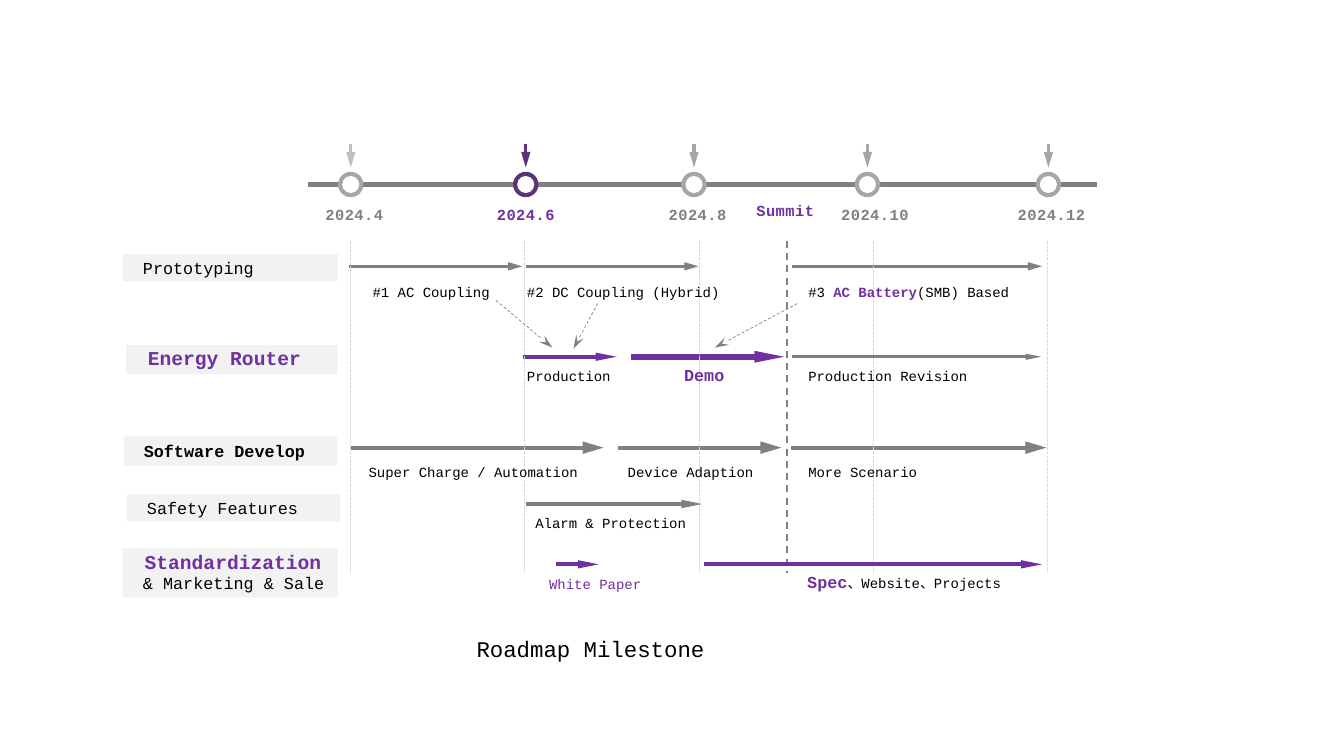
from pptx import Presentation
from pptx.dml.color import RGBColor
from pptx.enum.dml import MSO_LINE_DASH_STYLE as Dash
from pptx.enum.shapes import MSO_CONNECTOR, MSO_SHAPE as Shape
from pptx.enum.text import MSO_ANCHOR as Anchor, PP_ALIGN as Align
from pptx.oxml.xmlchemy import OxmlElement
from pptx.util import Cm, Pt

# Content: a span is (text, size, colour, bold); positions are in cm
FONT = "Courier New"
BLACK, WHITE, PURPLE, DEEP = "000000", "FFFFFF", "7030A0", "5B337B"
GRAY, SILVER, PALE, FAINT, PANEL = "808080", "A6A6A6", "BFBFBF", "D9D9D9", "F2F2F2"

# date, circle centre, label centre, ring colour, arrow colour, label colour
MILESTONES = [
    ("2024.4", 8.84, 8.93, SILVER, PALE, GRAY),
    ("2024.6", 13.25, 13.25, DEEP, DEEP, PURPLE),
    ("2024.8", 17.49, 17.58, SILVER, SILVER, GRAY),
    ("2024.10", 21.86, 22.05, SILVER, SILVER, GRAY),
    ("2024.12", 26.42, 26.50, SILVER, SILVER, GRAY),
]

# box (left, top, width, height), lines of spans
TRACKS = [
    ((3.10, 6.40, 5.41, 0.69), [[(" Prototyping", 12, BLACK, False)]]),
    ((3.18, 8.69, 5.33, 0.74), [[(" Energy Router", 14, PURPLE, True)]]),
    ((3.12, 11.00, 5.38, 0.74), [[(" Software Develop", 12, BLACK, True)]]),
    ((3.20, 12.45, 5.38, 0.69), [[(" Safety Features", 12, BLACK, False)]]),
    ((3.10, 13.82, 5.41, 1.24), [[(" Standardization", 14, PURPLE, True)],
                                 [(" & Marketing & Sale", 12, BLACK, False)]]),
]

# start, end, height, colour, weight, width of the head
ARROWS_UNDER_GRID = [
    (8.79, 13.16, 6.71, GRAY, 2, "med"),
    (13.26, 17.60, 6.71, GRAY, 2, "med"),
    (19.96, 26.26, 6.71, GRAY, 2, "med"),
    (13.18, 15.54, 8.99, PURPLE, 3, "sm"),
    (15.90, 19.76, 8.99, PURPLE, 4.25, "sm"),
    (8.84, 15.21, 11.28, GRAY, 3, "med"),
    (15.57, 19.69, 11.28, GRAY, 3, "med"),
    (19.94, 26.37, 11.28, GRAY, 3, "med"),
    (13.26, 17.70, 12.70, GRAY, 3, "sm"),
]
ARROWS_OVER_GRID = [
    (19.96, 26.24, 8.99, GRAY, 2.25, "sm"),
    (14.02, 15.09, 14.22, PURPLE, 3, "sm"),
    (17.73, 26.26, 14.22, PURPLE, 3, "sm"),
]

# left, top, width, spans
CAPTIONS = [
    (9.14, 6.88, 3.78, [("#1 AC Coupling", 10, BLACK, False)]),
    (13.03, 6.88, 5.72, [("#2 DC Coupling (Hybrid)", 10, BLACK, False)]),
    (20.12, 6.88, 6.10, [("#3 ", 10, BLACK, False),
                         ("AC Battery", 10, PURPLE, True),
                         ("(SMB) Based", 10, BLACK, False)]),
    (13.03, 8.99, 2.84, [("Production", 10, BLACK, False)]),
    (16.99, 8.99, 2.69, [("Demo", 12, PURPLE, True)]),
    (20.12, 8.99, 4.88, [("Production Revision", 10, BLACK, False)]),
    (9.04, 11.40, 6.50, [("Super Charge / Automation", 10, BLACK, False)]),
    (15.57, 11.40, 3.84, [("Device Adaption", 10, BLACK, False)]),
    (20.12, 11.40, 4.52, [("More Scenario", 10, BLACK, False)]),
    (13.03, 12.70, 5.00, [(" Alarm & Protection", 10, BLACK, False)]),
    (13.59, 14.22, 2.84, [("White Paper", 10, PURPLE, False)]),
    (19.84, 14.22, 6.27, [(" ", 12, BLACK, False),
                          ("Spec", 12, PURPLE, True),
                          ("、Website、Projects", 10, BLACK, False)]),
]

# from x, from y, to x, to y
DEPENDENCIES = [
    (12.50, 7.57, 13.92, 8.76),
    (15.06, 7.65, 14.45, 8.79),
    (20.09, 7.65, 18.01, 8.76),
]

AXIS_Y = 4.65
GRID_LEFT, GRID_STEP, GRID_TOP, GRID_BOTTOM = 8.84, 4.39, 6.07, 14.43
SUMMIT_X = 19.84


def color(code):
    return RGBColor.from_string(code)


def write(box, lines, align=Align.LEFT, leading=None, tracking=None, anchor=Anchor.TOP):
    frame = box.text_frame
    frame.word_wrap = True
    frame.vertical_anchor = anchor
    for index, spans in enumerate(lines):
        para = frame.add_paragraph() if index else frame.paragraphs[0]
        para.alignment = align
        if leading:
            para.line_spacing = Pt(leading)
        for text, size, code, bold in spans:
            span = para.add_run()
            span.text = text
            span.font.name = FONT
            span.font.size = Pt(size)
            span.font.bold = bold
            span.font.color.rgb = color(code)
            if tracking:
                span.font._element.set("spc", str(round(tracking * 100)))


def add_text(shapes, left, top, width, height, lines, **style):
    box = shapes.add_textbox(Cm(left), Cm(top), Cm(width), Cm(height))
    write(box, lines, **style)


def add_block(shapes, kind, left, top, width, height, code):
    block = shapes.add_shape(kind, Cm(left), Cm(top), Cm(width), Cm(height))
    block.shadow.inherit = False
    block.fill.solid()
    block.fill.fore_color.rgb = color(code)
    block.line.fill.background()
    return block


def add_line(shapes, x1, y1, x2, y2, code, weight, dash=None, head=None, head_width="med"):
    link = shapes.add_connector(MSO_CONNECTOR.STRAIGHT, Cm(x1), Cm(y1), Cm(x2), Cm(y2))
    link.line.color.rgb = color(code)
    link.line.width = Pt(weight)
    if dash:
        link.line.dash_style = dash
    if head:
        tail = OxmlElement("a:tailEnd")
        for name, value in (("type", head), ("w", head_width), ("len", "lg")):
            tail.set(name, value)
        link.line._get_or_add_ln().append(tail)
    link._element.spPr.append(OxmlElement("a:effectLst"))


def add_date(shapes, center, top, text, code):
    width = 2.5
    add_text(shapes, center - width / 2, top, width, 0.71, [[(text, 11, code, True)]],
             align=Align.CENTER, tracking=0.3)


def add_arrows(shapes, arrows):
    for start, end, y, code, weight, head_width in arrows:
        add_line(shapes, start, y, end, y, code, weight, head="triangle", head_width=head_width)


def main():
    deck = Presentation()
    deck.slide_width, deck.slide_height = Cm(33.87), Cm(19.05)
    page = deck.slides.add_slide(deck.slide_layouts[6])
    shapes = page.shapes

    # Time axis with its milestones
    add_line(shapes, 7.75, AXIS_Y, 27.64, AXIS_Y, GRAY, 3)
    for date, center, label_center, ring, pointer, label in MILESTONES:
        group = shapes.add_group_shape().shapes
        for size, code in ((0.64, ring), (0.43, WHITE)):
            add_block(group, Shape.OVAL, center - size / 2, AXIS_Y - size / 2, size, size, code)
        add_line(group, center, 3.63, center, 4.22, pointer, 2.25, head="triangle")
        add_date(group, label_center, 5.05, date, label)
    add_date(shapes, 19.79, 4.95, "Summit", PURPLE)

    # Track names
    for place, lines in TRACKS:
        block = add_block(shapes, Shape.RECTANGLE, *place, PANEL)
        write(block, lines, leading=14.2, anchor=Anchor.MIDDLE)

    # Arrows and date grid
    add_arrows(shapes, ARROWS_UNDER_GRID)
    for column in range(len(MILESTONES)):
        x = GRID_LEFT + column * GRID_STEP
        add_line(shapes, x, GRID_TOP, x, GRID_BOTTOM, FAINT, 0.75, dash=Dash.SQUARE_DOT)
    add_line(shapes, SUMMIT_X, GRID_TOP, SUMMIT_X, GRID_BOTTOM, GRAY, 1.25, dash=Dash.DASH)
    add_arrows(shapes, ARROWS_OVER_GRID)

    # Captions and dependencies
    for left, top, width, spans in CAPTIONS:
        add_text(shapes, left, top, width, 0.84, [spans], leading=16.2)
    for ends in DEPENDENCIES:
        add_line(shapes, *ends, GRAY, 0.5, dash=Dash.DASH, head="stealth")

    # Title
    add_text(shapes, 11.76, 15.88, 6.45, 0.94, [[("Roadmap Milestone", 16, BLACK, False)]])

    deck.save("out.pptx")


if __name__ == "__main__":
    main()
